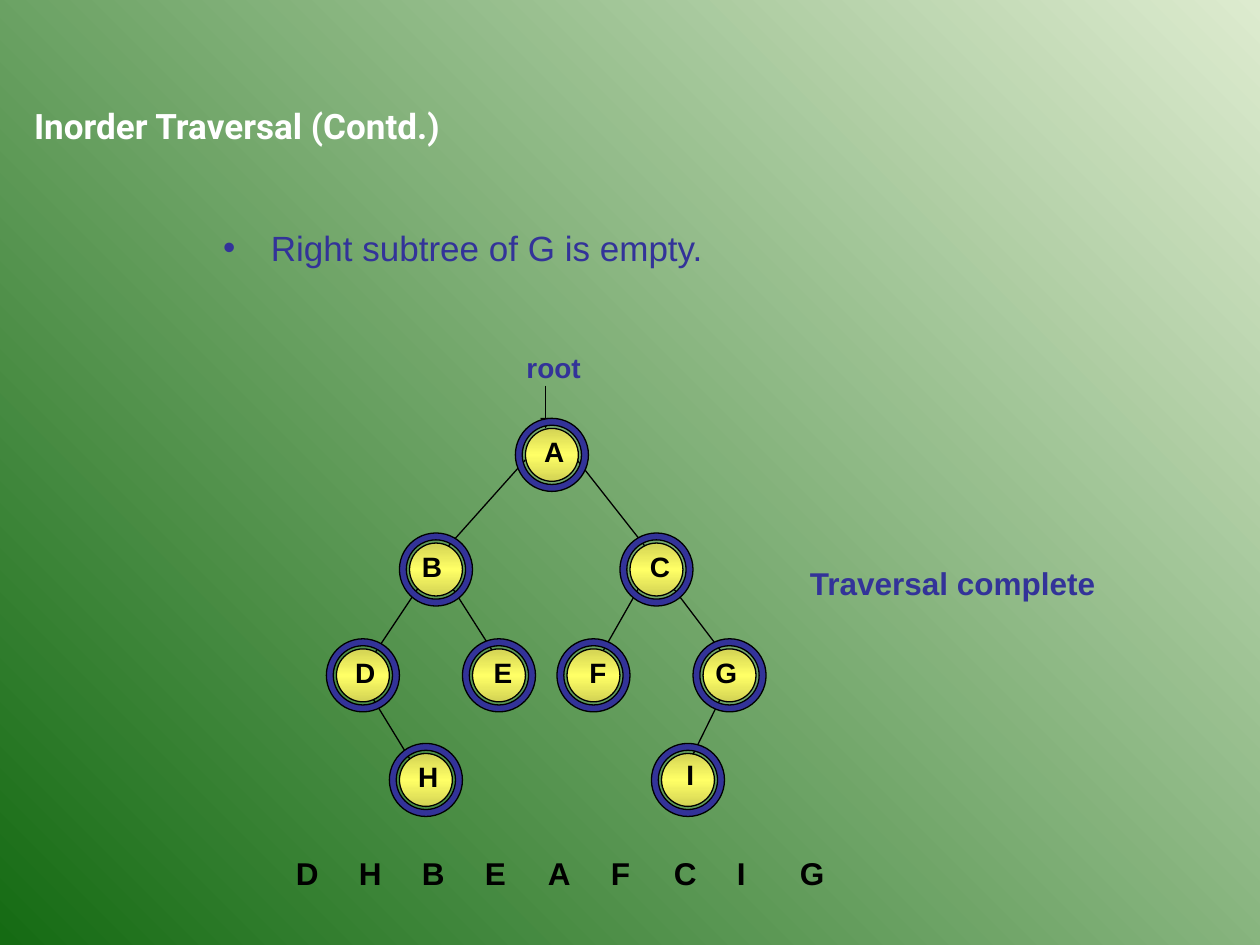
import typing
from dataclasses import dataclass

import lxml.etree
import pptx
import pptx.dml.color
import pptx.enum.shapes
import pptx.enum.text
import pptx.oxml.ns
import pptx.util

Inches = pptx.util.Inches
Pt = pptx.util.Pt
qn = pptx.oxml.ns.qn
Shape = pptx.enum.shapes.MSO_SHAPE

COLORS = {"ink": "333399", "black": "000000", "white": "FFFFFF"}
FIELD = [(0, "DDEBCF"), (100, "156B13")]
GOLD = [(0, "D3D354"), (50, "FFFF66"), (100, "D3D354")]
DISC, RING, BAND = 0.42, 0.58, 0.055
ROWS = [3.4, 4.31, 5.15, 5.98]


@dataclass
class Node:
    name: str
    left: float
    row: int
    shift: float = 0
    lift: float = 0


@dataclass
class Edge:
    x1: float
    y1: float
    x2: float
    y2: float
    arrow: bool = False


@dataclass
class Label:
    text: str
    left: float
    top: float
    width: float
    size: int
    color: str = "black"


NODES = [
    Node("A", 4.17, 0, 0.05),
    Node("B", 3.25, 1), Node("C", 5, 1, 0.06),
    Node("D", 2.67, 2, 0.05), Node("E", 3.75, 2, 0.07),
    Node("F", 4.5, 2, 0.08), Node("G", 5.58, 2),
    Node("H", 3.17, 3, 0.05), Node("I", 5.25, 3, 0.1, 0.02),
]
EDGES = [
    Edge(4.17, 3.65, 3.5, 4.4), Edge(4.58, 3.65, 5.17, 4.4),
    Edge(3.33, 4.65, 2.83, 5.4), Edge(3.58, 4.65, 4, 5.31),
    Edge(5.08, 4.65, 4.75, 5.23), Edge(5.33, 4.65, 5.83, 5.31),
    Edge(2.92, 5.48, 3.33, 6.15), Edge(5.75, 5.48, 5.42, 6.15),
    Edge(4.33, 3.06, 4.33, 3.4, arrow=True),
]
LABELS = [
    Label("Traversal complete", 6.33, 4.43, 3, 18, "ink"),
    Label("root", 4.08, 2.73, 0.75, 16, "ink"),
]


def rgb(name: str) -> pptx.dml.color.RGBColor:
    return pptx.dml.color.RGBColor.from_string(COLORS[name])


def blend(fill: typing.Any, root: typing.Any, stops: list, angle: int) -> None:
    """Give a fill a linear gradient; root is the element that holds it."""
    fill.gradient()
    fill.gradient_angle = angle
    ramp = root.find(".//" + qn("a:gsLst"))
    for old in list(ramp):
        ramp.remove(old)
    for place, color in stops:
        stop = lxml.etree.SubElement(ramp, qn("a:gs"), pos=str(place * 1000))
        lxml.etree.SubElement(stop, qn("a:srgbClr"), val=color)


def write(shape: typing.Any, text: str, size: int, color: str,
          bold: bool = True, face: str = "Arial") -> None:
    frame = shape.text_frame
    frame.text = text
    look = {
        "word_wrap": True,
        "auto_size": pptx.enum.text.MSO_AUTO_SIZE.NONE,
        "vertical_anchor": pptx.enum.text.MSO_ANCHOR.TOP,
    }
    for key, value in look.items():
        setattr(frame, key, value)
    line = frame.paragraphs[0]
    line.alignment = pptx.enum.text.PP_ALIGN.LEFT
    line.space_before = Pt(0)
    font = line.runs[0].font
    for key, value in {"name": face, "size": Pt(size), "bold": bold}.items():
        setattr(font, key, value)
    font.color.rgb = rgb(color)


def place(shape: typing.Any, *box: float) -> None:
    for key, value in zip(("left", "top", "width", "height"), box):
        setattr(shape, key, Inches(value))


def bullet(line: typing.Any) -> None:
    props = line._p.get_or_add_pPr()
    indent = Inches(0.38)
    props.set("marL", str(indent))
    props.set("indent", str(-indent))
    tint = lxml.etree.SubElement(props, qn("a:buClr"))
    lxml.etree.SubElement(tint, qn("a:srgbClr"), val=COLORS["ink"])
    lxml.etree.SubElement(props, qn("a:buFont"), typeface="Arial")
    lxml.etree.SubElement(props, qn("a:buChar"), char="•")


def add_label(slide: typing.Any, label: Label) -> None:
    box = slide.shapes.add_textbox(
        Inches(label.left), Inches(label.top), Inches(label.width), Inches(0.4))
    write(box, label.text, label.size, label.color)


def add_edge(slide: typing.Any, edge: Edge) -> None:
    link = slide.shapes.add_connector(
        pptx.enum.shapes.MSO_CONNECTOR.STRAIGHT,
        *map(Inches, (edge.x1, edge.y1, edge.x2, edge.y2)))
    link.line.color.rgb = rgb("black")
    link.line.width = Pt(0.75)
    if edge.arrow:
        lxml.etree.SubElement(link.line._get_or_add_ln(), qn("a:tailEnd"), type="triangle")
    lxml.etree.SubElement(link._element.spPr, qn("a:effectLst"))


def add_round(slide: typing.Any, node: Node, kind: typing.Any, size: float) -> typing.Any:
    """Add a round shape of the given size about the centre of a node."""
    inset = (DISC - size) / 2
    shape = slide.shapes.add_shape(
        kind, Inches(node.left + inset), Inches(ROWS[node.row] + inset),
        Inches(size), Inches(size))
    shape.shadow.inherit = False
    shape.line.color.rgb = rgb("black")
    shape.line.width = Pt(0.75)
    return shape


def add_node(slide: typing.Any, node: Node) -> None:
    disc = add_round(slide, node, Shape.OVAL, DISC)
    blend(disc.fill, disc._element, GOLD, 270)
    add_label(slide, Label(node.name, node.left + node.shift,
                           ROWS[node.row] - node.lift, 0.4, 16))
    ring = add_round(slide, node, Shape.DONUT, RING)
    ring.adjustments[0] = BAND / RING
    ring.fill.solid()
    ring.fill.fore_color.rgb = rgb("ink")


def main() -> None:
    deck = pptx.Presentation()
    deck.slide_width, deck.slide_height = Inches(10), Inches(7.5)
    slide = deck.slides.add_slide(deck.slide_layouts[1])
    blend(slide.background.fill, slide._element, FIELD, 225)

    title, body = slide.placeholders
    place(title, 0.17, 0.78, 7.5, 0.44)
    write(title, "Inorder Traversal (Contd.)", 20, "white", face="Roboto")
    place(body, 1.67, 1.75, 8, 5)
    write(body, "Right subtree of G is empty.", 20, "ink", bold=False)
    bullet(body.text_frame.paragraphs[0])

    for step, name in enumerate("DHBEAFCIG"):
        add_label(slide, Label(name, 2.25 + 0.5 * step, 6.73, 0.67, 18))
    for label in LABELS:
        add_label(slide, label)
    for edge in EDGES:
        add_edge(slide, edge)
    for node in NODES:
        add_node(slide, node)
    deck.save("out.pptx")


if __name__ == "__main__":
    main()
